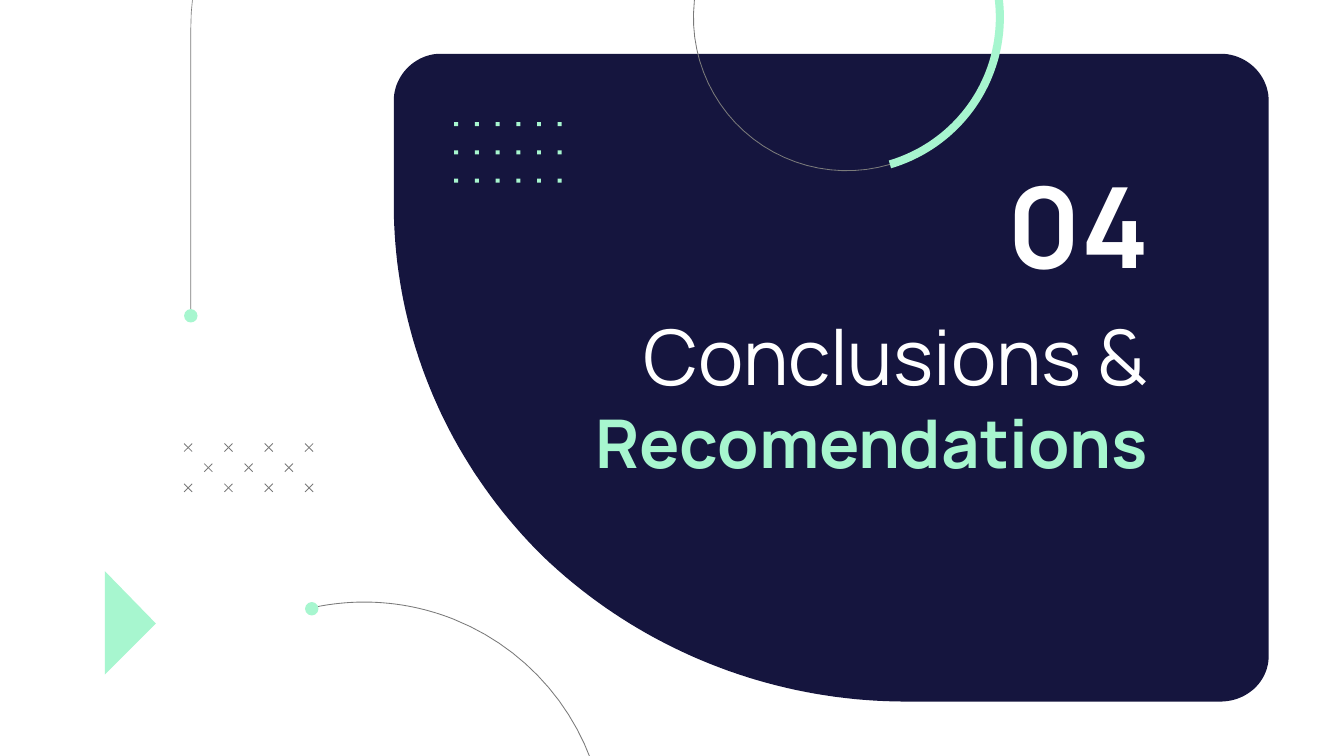
import math

import pptx
import pptx.dml.color
import pptx.enum.shapes
import pptx.enum.text
import pptx.oxml
import pptx.oxml.ns
import pptx.util
from pptx.util import Inches

NAVY = pptx.dml.color.RGBColor(0x15, 0x15, 0x3E)
MINT = pptx.dml.color.RGBColor(0xA7, 0xF6, 0xCF)
WHITE = pptx.dml.color.RGBColor(0xFF, 0xFF, 0xFF)
GRAY = pptx.dml.color.RGBColor(0x7A, 0x7A, 0x7A)


def arc(center, radius, start, end, steps=60):
    """Return points on a circle; degrees run clockwise from the right."""
    angles = [math.radians(start + (end - start) * i / steps) for i in range(steps + 1)]
    return [(center[0] + radius * math.cos(a), center[1] + radius * math.sin(a)) for a in angles]


def curve(start, control_1, control_2, end, steps=40):
    """Return points on a cubic Bezier curve."""
    points = []
    for step in range(steps + 1):
        t = step / steps
        weights = ((1 - t) ** 3, 3 * t * (1 - t) ** 2, 3 * t * t * (1 - t), t ** 3)
        points.append(tuple(
            sum(weight * value for weight, value in zip(weights, values))
            for values in zip(start, control_1, control_2, end)))
    return points


class SlideBuilder:
    font = "Manrope"
    line_width = 0.44

    def __init__(self, slide):
        self.slide = slide

    def freeform(self, points, closed):
        points = [(Inches(x), Inches(y)) for x, y in points]
        builder = self.slide.shapes.build_freeform(*points[0], scale=1.0)
        builder.add_line_segments(points[1:], close=closed)
        shape = builder.convert_to_shape()
        shape.shadow.inherit = False
        return shape

    def fill(self, shape, color):
        shape.shadow.inherit = False
        shape.fill.solid()
        shape.fill.fore_color.rgb = color
        shape.line.fill.background()

    def area(self, points, color):
        self.fill(self.freeform(points, True), color)

    def open_line(self, points, width=line_width):
        shape = self.freeform(points, False)
        shape.fill.background()
        shape.line.color.rgb = GRAY
        shape.line.width = pptx.util.Pt(width)

    def preset(self, kind, left, top, size, color):
        shape = self.slide.shapes.add_shape(
            kind, Inches(left), Inches(top), Inches(size), Inches(size))
        self.fill(shape, color)

    def line(self, x1, y1, x2, y2):
        connector = self.slide.shapes.add_connector(
            pptx.enum.shapes.MSO_CONNECTOR.STRAIGHT,
            Inches(x1), Inches(y1), Inches(x2), Inches(y2))
        connector.line.color.rgb = GRAY
        connector.line.width = pptx.util.Pt(self.line_width)
        connector._element.spPr.append(pptx.oxml.parse_xml(
            f"<a:effectLst {pptx.oxml.ns.nsdecls('a')}/>"))

    def cross(self, left, top, size=0.06):
        self.line(left, top, left + size, top + size)
        self.line(left, top + size, left + size, top)

    def text(self, left, top, width, height, runs, anchor, bottom_inset, spacing):
        """Add a right-aligned paragraph of (text, size, color, bold) runs."""
        box = self.slide.shapes.add_textbox(
            Inches(left), Inches(top), Inches(width), Inches(height))
        frame = box.text_frame
        frame.word_wrap = True
        frame.vertical_anchor = anchor
        frame.margin_left = frame.margin_right = frame.margin_top = Inches(0.1)
        frame.margin_bottom = Inches(bottom_inset)
        paragraph = frame.paragraphs[0]
        paragraph.alignment = pptx.enum.text.PP_ALIGN.RIGHT
        paragraph.line_spacing = spacing
        for content, size, color, bold in runs:
            run = paragraph.add_run()
            run.text = content
            run.font.name = self.font
            run.font.size = pptx.util.Pt(size)
            run.font.color.rgb = color
            run.font.bold = bold


def main():
    presentation = pptx.Presentation()
    presentation.slide_width = Inches(10)
    presentation.slide_height = Inches(10 * 9 / 16)
    builder = SlideBuilder(presentation.slides.add_slide(presentation.slide_layouts[6]))
    shapes = pptx.enum.shapes.MSO_SHAPE
    anchors = pptx.enum.text.MSO_ANCHOR

    panel = (
        curve((9.08, 0.4), (9.28, 0.4), (9.44, 0.56), (9.44, 0.75))
        + curve((9.44, 4.88), (9.44, 5.07), (9.28, 5.22), (9.08, 5.22))
        + curve((6.74, 5.22), (5.73, 5.22), (4.76, 4.83), (4.04, 4.14))
        + curve((4.04, 4.14), (3.33, 3.44), (2.93, 2.5), (2.93, 1.52))
        + curve((2.93, 0.75), (2.93, 0.56), (3.09, 0.4), (3.28, 0.4)))
    builder.area(panel, NAVY)
    builder.area([(0.78, 5.02), (1.16, 4.64), (0.78, 4.25)], MINT)

    builder.text(3.38, 2.2, 5.26, 1.58, [
        ("Conclusions & ", 41, WHITE, False),
        ("Recomendations", 36, MINT, True)], anchors.TOP, 0.1, 1.0)
    builder.text(7.03, 1.11, 1.62, 1.07, [("04", 60, WHITE, True)], anchors.BOTTOM, 0, 0.9)

    # Staggered crosses: the middle row is shifted half a step
    for row, (first_left, count) in enumerate([(1.37, 4), (1.52, 3), (1.37, 4)]):
        for column in range(count):
            builder.cross(first_left + 0.3 * column, 3.3 + 0.15 * row)

    for row in range(3):
        for column in range(6):
            builder.preset(shapes.RECTANGLE, 3.38 + 0.77 / 5 * column,
                           0.91 + 0.21 * row, 0.03, MINT)

    stem = [(1.42, 2.35)] + curve((1.42, 0.21), (1.42, -1.32), (3.29, -2.56), (5.6, -2.56))
    builder.open_line(stem + [(6.92, -2.56)], 0.35)
    builder.preset(shapes.OVAL, 1.37, 2.3, 0.1, MINT)

    ring_center = (6.3, 0.13)
    builder.open_line(arc(ring_center, 1.14, -16.4, -286.4))
    builder.area(arc(ring_center, 1.17, -16.4, 73.6)
                 + arc(ring_center, 1.11, 73.6, -16.4), MINT)

    bottom_center = (2.71, 6.28)
    for start, end in [(259, 292), (292, 530)]:
        builder.open_line(arc(bottom_center, 1.8, start, end))
    builder.preset(shapes.OVAL, 2.27, 4.48, 0.1, MINT)

    presentation.save("out.pptx")


if __name__ == "__main__":
    main()
